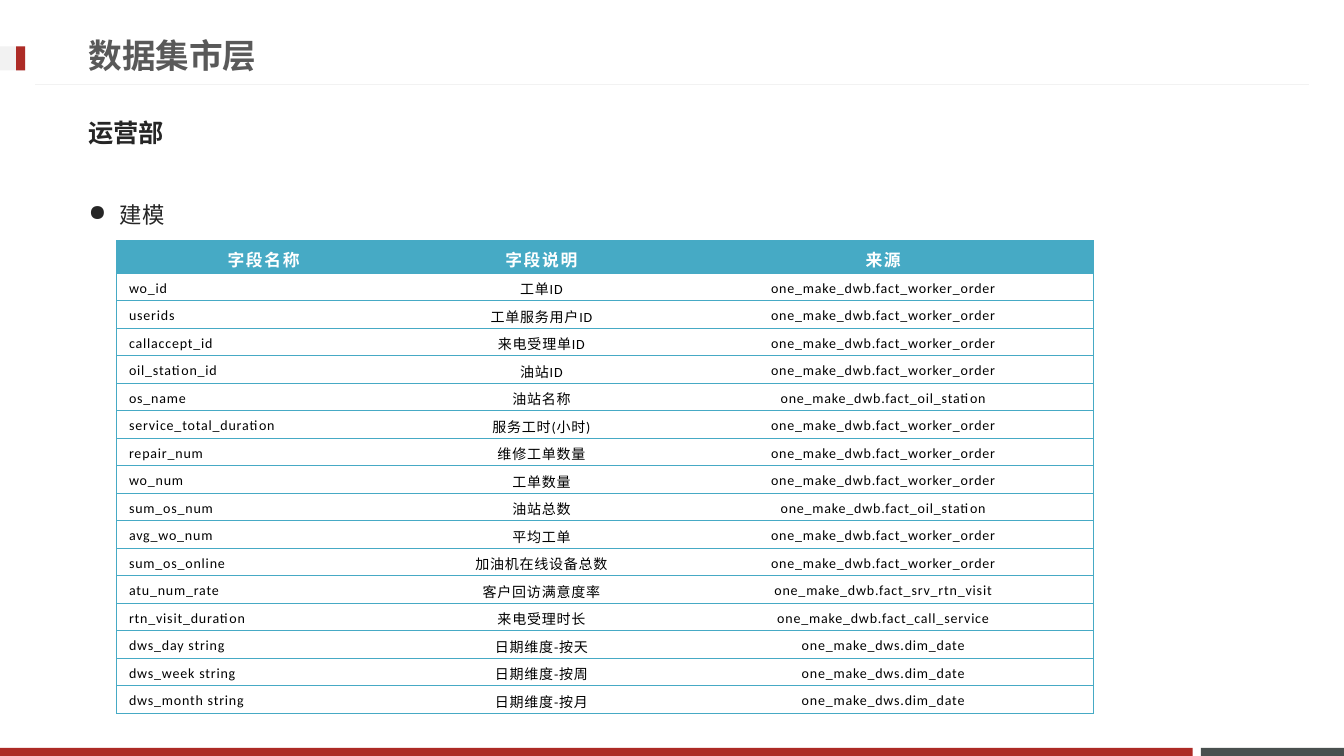
from dataclasses import dataclass

from lxml.etree import SubElement
from pptx import Presentation
from pptx.dml.color import RGBColor
from pptx.enum.shapes import MSO_CONNECTOR, MSO_SHAPE
from pptx.enum.text import MSO_ANCHOR, PP_ALIGN
from pptx.oxml import parse_xml
from pptx.oxml.ns import nsdecls, qn
from pptx.util import Inches, Pt


@dataclass(frozen=True)
class Theme:
    red: str = "AD2B26"
    slate: str = "49504F"
    pale: str = "F2F2F2"
    white: str = "FFFFFF"
    black: str = "000000"
    teal: str = "46AAC5"
    head: str = "595959"
    ink: str = "262626"
    title: int = 24
    sub: int = 18
    item: int = 16
    label: int = 12
    cell: int = 10
    hair: float = 0.75
    sans: str = "Noto Sans CJK JP"
    latin: str = "Calibri"
    roboto: str = "Roboto"


@dataclass(frozen=True)
class Bar:
    left: float
    top: float
    width: float
    height: float
    fill: str


@dataclass(frozen=True)
class Style:
    size: int
    color: str
    face: str
    bold: bool = False
    gap: int = 0


@dataclass(frozen=True)
class Label:
    text: str
    top: float
    height: float
    style: Style
    before: float = 0
    bullet: bool = False


@dataclass(frozen=True)
class Field:
    name: str
    note: str
    source: str


THEME = Theme()
BARS = [
    Bar(11.91, 7.42, 1.42, 0.08, THEME.slate),
    Bar(0, 7.42, 11.83, 0.08, THEME.red),
    Bar(0, 0.46, 0.25, 0.24, THEME.pale),
    Bar(0.16, 0.46, 0.09, 0.24, THEME.red),
]
LABELS = [
    Label("数据集市层", 0.26, 0.57, Style(THEME.title, THEME.head, THEME.roboto, True)),
    Label("运营部", 1.03, 0.57, Style(THEME.sub, THEME.ink, THEME.sans, True), 3.6),
    Label("建模", 1.81, 5.41, Style(THEME.item, THEME.ink, THEME.sans), 3.2, True),
]
HEAD = Style(THEME.label, THEME.white, THEME.latin, True, 120)
BODY = Style(THEME.cell, THEME.black, THEME.latin, False, 60)
ORDER = "one_make_dwb.fact_worker_order"
OIL = "one_make_dwb.fact_oil_station"
DATE = "one_make_dws.dim_date"
FIELDS = [
    Field("字段名称", "字段说明", "来源"),
    Field("wo_id", "工单ID", ORDER),
    Field("userids", "工单服务用户ID", ORDER),
    Field("callaccept_id", "来电受理单ID", ORDER),
    Field("oil_station_id", "油站ID", ORDER),
    Field("os_name", "油站名称", OIL),
    Field("service_total_duration", "服务工时(小时)", ORDER),
    Field("repair_num", "维修工单数量", ORDER),
    Field("wo_num", "工单数量", ORDER),
    Field("sum_os_num", "油站总数", OIL),
    Field("avg_wo_num", "平均工单", ORDER),
    Field("sum_os_online", "加油机在线设备总数", ORDER),
    Field("atu_num_rate", "客户回访满意度率", "one_make_dwb.fact_srv_rtn_visit"),
    Field("rtn_visit_duration", "来电受理时长", "one_make_dwb.fact_call_service"),
    Field("dws_day string", "日期维度-按天", DATE),
    Field("dws_week string", "日期维度-按周", DATE),
    Field("dws_month string", "日期维度-按月", DATE),
]
WIDTHS = [2.91, 2.6, 4.18]
TALL = 0.32
HIGH = 4.69


def paint(para, style: Style) -> None:
    font = para.font
    font.size = Pt(style.size)
    font.bold = style.bold
    font.name = style.face
    font.color.rgb = RGBColor.from_string(style.color)
    props = para._p.pPr.find(qn("a:defRPr"))
    SubElement(props, qn("a:ea")).set("typeface", THEME.sans)
    if style.gap:
        props.set("spc", str(style.gap))


def draw_bar(slide, bar: Bar) -> None:
    box = [Inches(n) for n in (bar.left, bar.top, bar.width, bar.height)]
    shape = slide.shapes.add_shape(MSO_SHAPE.RECTANGLE, *box)
    shape.shadow.inherit = False
    shape.fill.solid()
    shape.fill.fore_color.rgb = RGBColor.from_string(bar.fill)
    shape.line.fill.background()


def draw_rule(slide) -> None:
    rule = slide.shapes.add_connector(
        MSO_CONNECTOR.STRAIGHT, Inches(12.98), Inches(0.84), Inches(0.35), Inches(0.84)
    )
    rule.line.color.rgb = RGBColor.from_string(THEME.pale)
    rule.line.width = Pt(THEME.hair)
    SubElement(rule._element.spPr, qn("a:effectLst"))


def draw_label(slide, label: Label) -> None:
    width = 11.7 if label.before else 9.59
    box = slide.shapes.add_textbox(
        Inches(0.78), Inches(label.top), Inches(width), Inches(label.height)
    )
    frame = box.text_frame
    frame.word_wrap = True
    frame.vertical_anchor = MSO_ANCHOR.TOP if label.bullet else MSO_ANCHOR.MIDDLE
    para = frame.paragraphs[0]
    para.text = label.text
    para.space_before = Pt(label.before)
    if label.bullet:
        para.line_spacing = 1.5
        props = para._p.pPr
        props.set("marL", str(Inches(0.31)))
        props.set("indent", str(Inches(-0.31)))
        SubElement(props, qn("a:buChar")).set("char", "●")
    paint(para, label.style)


def draw_edge(cell, spot: int, side: str, shown: bool) -> None:
    fill = f'<a:solidFill><a:srgbClr val="{THEME.teal}"/></a:solidFill>' if shown else "<a:noFill/>"
    edge = parse_xml(f'<a:ln{side} {nsdecls("a")} w="{Pt(THEME.hair)}">{fill}</a:ln{side}>')
    cell._tc.get_or_add_tcPr().insert(spot, edge)


def fill_cell(cell, text: str, row: int, col: int) -> None:
    top = row == 0
    cell.fill.solid()
    cell.fill.fore_color.rgb = RGBColor.from_string(THEME.teal if top else THEME.white)
    cell.vertical_anchor = MSO_ANCHOR.MIDDLE
    cell.margin_left = cell.margin_right = Inches(0.12)
    cell.margin_top = cell.margin_bottom = Inches(0.01)
    para = cell.text_frame.paragraphs[0]
    para.text = text
    para.line_spacing = 1.2
    para.alignment = PP_ALIGN.CENTER if top or col else PP_ALIGN.LEFT
    paint(para, HEAD if top else BODY)
    shown = {"L": col == 0, "R": col == len(WIDTHS) - 1, "T": True, "B": True}
    for spot, (side, show) in enumerate(shown.items()):
        draw_edge(cell, spot, side, show)


def draw_table(slide) -> None:
    count = len(FIELDS)
    table = slide.shapes.add_table(
        count, len(WIDTHS), Inches(1.16), Inches(2.39), Inches(sum(WIDTHS)), Inches(HIGH)
    ).table
    table.horz_banding = False
    for col, width in enumerate(WIDTHS):
        table.columns[col].width = Inches(width)
    for row, field in enumerate(FIELDS):
        table.rows[row].height = Inches((HIGH - TALL) / (count - 1) if row else TALL)
        for col, text in enumerate((field.name, field.note, field.source)):
            fill_cell(table.cell(row, col), text, row, col)


def main() -> None:
    deck = Presentation()
    deck.slide_width = Inches(13.33)
    deck.slide_height = Inches(7.5)
    slide = deck.slides.add_slide(deck.slide_layouts[6])
    for bar in BARS:
        draw_bar(slide, bar)
    draw_rule(slide)
    for label in LABELS:
        draw_label(slide, label)
    draw_table(slide)
    deck.save("out.pptx")


if __name__ == "__main__":
    main()
